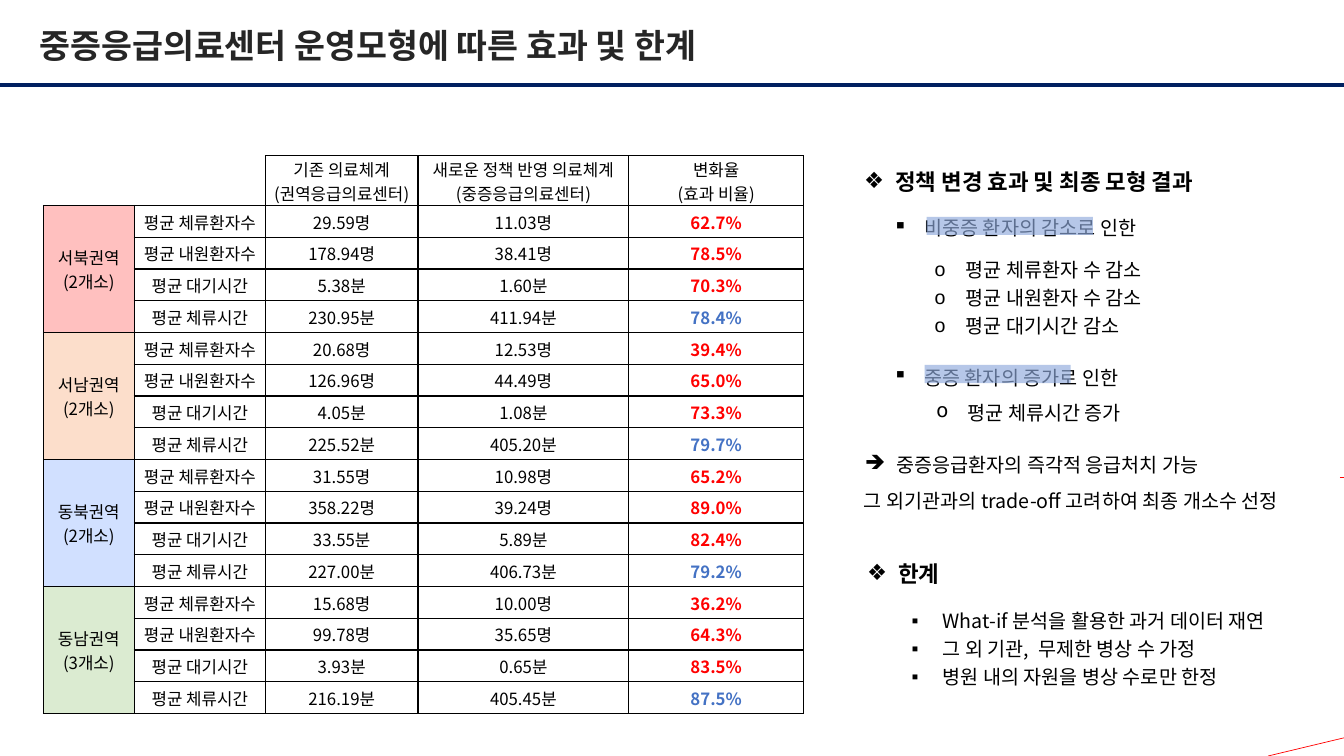
"""Build the slide on effects and limits of the severe emergency centre model."""
from lxml.etree import SubElement
from pptx import Presentation
from pptx.dml.color import RGBColor
from pptx.enum.shapes import MSO_CONNECTOR as Link, MSO_SHAPE as Form
from pptx.enum.text import MSO_ANCHOR as Anchor, MSO_AUTO_SIZE as Fit, PP_ALIGN as Align
from pptx.oxml.ns import qn
from pptx.util import Inches, Pt

WIDE, HIGH = Inches(13.33), Inches(7.5)
FONT = "Noto Sans CJK KR"
BLACK = RGBColor(0x00, 0x00, 0x00)
INK = RGBColor(0x26, 0x26, 0x26)
NAVY = RGBColor(0x00, 0x20, 0x60)
RED = RGBColor(0xFF, 0x00, 0x00)
BLUE = RGBColor(0x44, 0x72, 0xC4)
MARK = RGBColor(0x8F, 0xAA, 0xDC)
PINK = RGBColor(0xFF, 0xC0, 0xBF)
PEACH = RGBColor(0xFC, 0xDE, 0xCB)
SKY = RGBColor(0xD1, 0xE0, 0xFF)
GREEN = RGBColor(0xDB, 0xEB, 0xD1)

COLS = (0.9, 1.3, 1.51, 2.09, 1.73)
HEADS = ("기존 의료체계\n(권역응급의료센터)",
         "새로운 정책 반영 의료체계\n(중증응급의료센터)",
         "변화율\n(효과 비율)")
ITEMS = (("평균 체류환자수", "명", RED), ("평균 내원환자수", "명", RED),
         ("평균 대기시간", "분", RED), ("평균 체류시간", "분", BLUE))
ZONES = (
    ("서북권역\n(2개소)", PINK, (
        ("29.59", "11.03", "62.7"), ("178.94", "38.41", "78.5"),
        ("5.38", "1.60", "70.3"), ("230.95", "411.94", "78.4"))),
    ("서남권역\n(2개소)", PEACH, (
        ("20.68", "12.53", "39.4"), ("126.96", "44.49", "65.0"),
        ("4.05", "1.08", "73.3"), ("225.52", "405.20", "79.7"))),
    ("동북권역\n(2개소)", SKY, (
        ("31.55", "10.98", "65.2"), ("358.22", "39.24", "89.0"),
        ("33.55", "5.89", "82.4"), ("227.00", "406.73", "79.2"))),
    ("동남권역\n(3개소)", GREEN, (
        ("15.68", "10.00", "36.2"), ("99.78", "35.65", "64.3"),
        ("3.93", "0.65", "83.5"), ("216.19", "405.45", "87.5"))),
)


def across(share):
    """Turn a percentage of the slide's width into a length."""
    return int(WIDE * share / 100)


def down(share):
    """Turn a percentage of the slide's height into a length."""
    return int(HIGH * share / 100)


def area(left, top, width, height):
    """Turn four percentages into a position and size."""
    return across(left), down(top), across(width), down(height)


def write(frame, text, size=14, color=BLACK, bold=False, font=FONT,
          align=Align.LEFT, space=1.0, bullet=None, left=0.31):
    """Fill a text frame, one paragraph a line."""
    frame.text = text
    for para in frame.paragraphs:
        props = para._p.get_or_add_pPr()
        if bullet:
            props.set("marL", str(Inches(left)))
            props.set("indent", str(-Inches(0.31)))
            SubElement(props, qn("a:buChar")).set("char", bullet)
        para.alignment, para.line_spacing = align, space
        para.space_before = para.space_after = Pt(0)
        for run in para.runs:
            face = run.font
            face.name, face.size, face.bold = font, Pt(size), bold
            face.color.rgb = color
            SubElement(run._r.get_or_add_rPr(), qn("a:ea")).set("typeface", FONT)


def put(slide, text, place, holder=None, **style):
    """Write text in a placeholder or a new text box at a place."""
    box = holder or slide.shapes.add_textbox(*area(*place))
    box.left, box.top, box.width, box.height = area(*place)
    frame = box.text_frame
    frame.word_wrap, frame.auto_size = True, Fit.NONE
    frame.vertical_anchor = Anchor.TOP
    write(frame, text, **style)


def rule(slide, start, end, color, width):
    """Draw a straight line between two points."""
    line = slide.shapes.add_connector(
        Link.STRAIGHT, across(start[0]), down(start[1]), across(end[0]), down(end[1]))
    line.line.color.rgb, line.line.width = color, Pt(width)
    SubElement(line._element.spPr, qn("a:effectLst"))


def mark(slide, place):
    """Lay a see-through marker bar over text."""
    bar = slide.shapes.add_shape(Form.RECTANGLE, *area(*place))
    bar.shadow.inherit = False
    bar.fill.solid()
    bar.fill.fore_color.rgb = MARK
    bar.line.fill.background()
    tint = bar._element.spPr.find(qn("a:solidFill"))[0]
    SubElement(tint, qn("a:alpha")).set("val", "65000")


def edge(cell, sides="LRTB"):
    """Give a cell black borders on the named sides and none elsewhere."""
    props = cell._tc.get_or_add_tcPr()
    for spot, side in enumerate("LRTB"):
        line = props.makeelement(qn(f"a:ln{side}"), {"w": str(Pt(1))})
        if side in sides:
            paint = SubElement(line, qn("a:solidFill"))
            SubElement(paint, qn("a:srgbClr")).set("val", str(BLACK))
        else:
            SubElement(line, qn("a:noFill"))
        props.insert(spot, line)


def fill(cell, text, tint=None, **style):
    """Write a centred table cell with its tint."""
    if tint:
        cell.fill.solid()
        cell.fill.fore_color.rgb = tint
    else:
        cell.fill.background()
        cell.margin_left = cell.margin_right = cell.margin_top = Inches(0.01)
        cell.margin_bottom = 0
    cell.vertical_anchor = Anchor.MIDDLE
    write(cell.text_frame, text, size=12, align=Align.CENTER, **style)


def grid(slide):
    """Build the table of zones and measures."""
    place = area(3.23, 20.6, 56.56, 73.47)
    count = 1 + len(ZONES) * len(ITEMS)
    table = slide.shapes.add_table(count, len(COLS), *place).table
    table.first_row = table.horz_banding = False
    for col, part in zip(table.columns, COLS):
        col.width = int(place[2] * part / sum(COLS))
    top = Inches(0.47)
    for row in table.rows:
        row.height = (place[3] - top) // (count - 1)
    table.rows[0].height = top
    for spot, cell in enumerate(table.iter_cells()):
        edge(cell, {0: "B", 1: "RB"}.get(spot, "LRTB"))
    for col in range(2):
        fill(table.cell(0, col), "")
    for col, head in enumerate(HEADS, 2):
        fill(table.cell(0, col), head)
    for zone, (name, tint, rows) in enumerate(ZONES):
        first = 1 + zone * len(ITEMS)
        table.cell(first, 0).merge(table.cell(first + len(ITEMS) - 1, 0))
        fill(table.cell(first, 0), name, tint)
        for row, ((item, unit, color), (old, new, rate)) in enumerate(zip(ITEMS, rows), first):
            for col, text in enumerate((item, old + unit, new + unit), 1):
                fill(table.cell(row, col), text)
            fill(table.cell(row, 4), rate + "%", color=color, bold=True)


def main():
    """Build and save the slide."""
    deck = Presentation()
    deck.slide_width, deck.slide_height = WIDE, HIGH
    slide = deck.slides.add_slide(deck.slide_layouts[4])
    title, head, goals, last, limits = list(slide.placeholders)[:5]
    put(slide, "중증응급의료센터 운영모형에 따른 효과 및 한계", (2.18, 2.67, 96.32, 6.67),
        title, size=24, color=INK, bold=True, font="Calibri")
    rule(slide, (0, 11.24), (100, 11.24), NAVY, 3)
    grid(slide)

    chief = dict(size=16, bold=True, space=1.2, bullet="❖", left=0.81)
    put(slide, "정책 변경 효과 및 최종 모형 결과", (59.79, 20.8, 34.51, 5.2), head, **chief)
    put(slide, "한계", (60.02, 72.67, 20.56, 5.2), last, **chief)

    point = dict(space=1.2, bullet="▪")
    put(slide, "비중증 환자의 감소로 인한", (65.72, 27.33, 31.13, 4.8), **point)
    put(slide, "중증 환자의 증가로 인한", (65.72, 47.07, 31.13, 4.8), **point)
    put(slide, "What-if 분석을 활용한 과거 데이터 재연\n그 외 기관,  무제한 병상 수 가정\n"
        "병원 내의 자원을 병상 수로만 한정", (67.07, 79.2, 31.13, 12.27), limits, **point)

    minor = dict(space=1.2, bullet="o")
    put(slide, "평균 체류환자 수 감소\n평균 내원환자 수 감소\n평균 대기시간 감소",
        (68.79, 32.8, 21.23, 12.27), goals, **minor)
    put(slide, "평균 체류시간 증가", (68.94, 51.73, 28.21, 4.8), **minor)

    put(slide, "중증응급환자의 즉각적 응급처치 가능", (63.62, 57.73, 35.63, 5.47),
        space=1.5, bullet="➔")
    mark(slide, (68.94, 28.67, 12.38, 2.4))
    mark(slide, (68.79, 48.27, 10.88, 2.4))
    put(slide, "그 외기관과의 trade-off 고려하여 최종 개소수 선정", (63.54, 64, 36.16, 4.53))
    rule(slide, (99.7, 63.2), (100, 63.2), RED, 0.5)
    rule(slide, (94.35, 100), (100, 97.6), RED, 0.5)
    deck.save("out.pptx")


if __name__ == "__main__":
    main()
